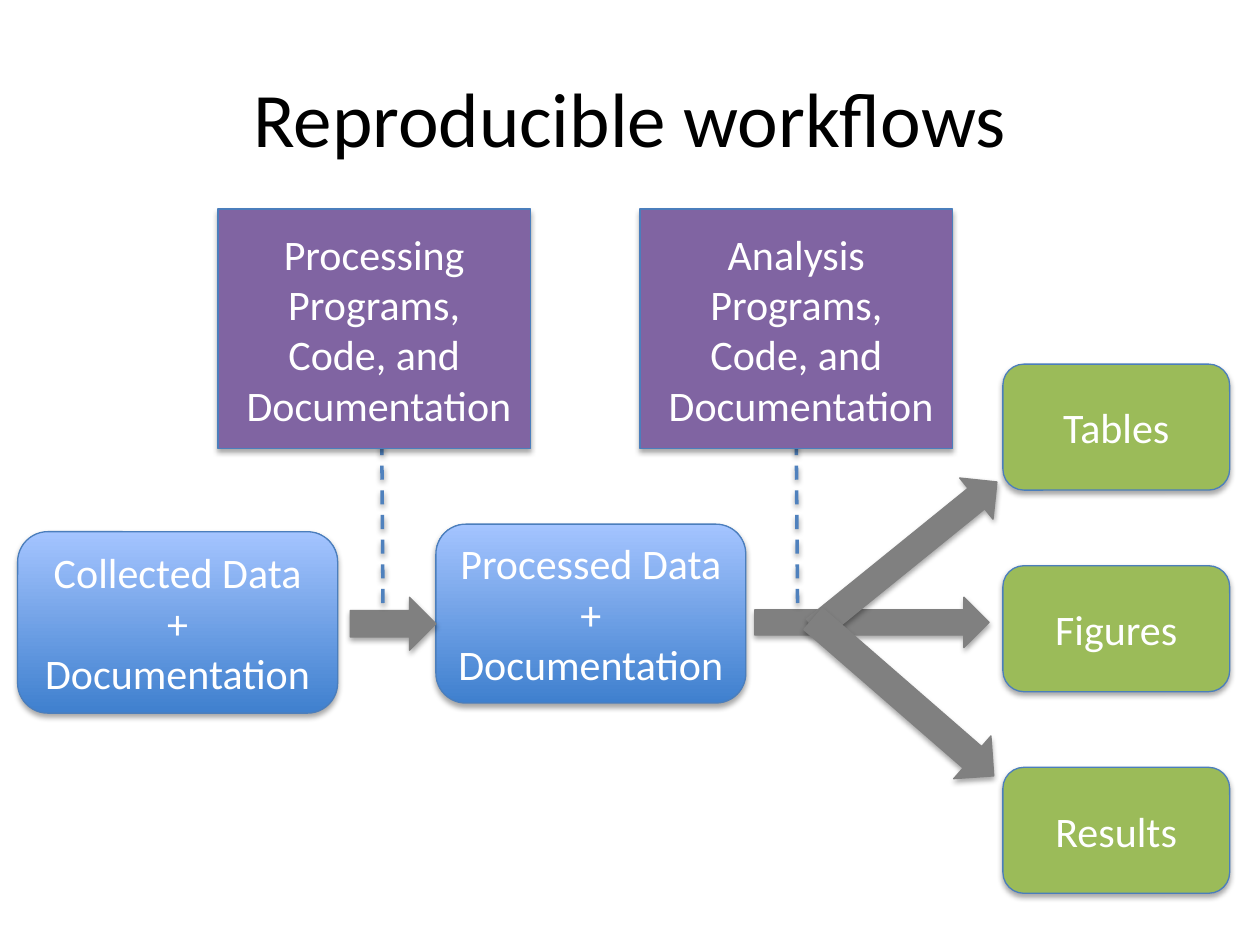
import pptx
import pptx.util
import pptx.dml.color
import pptx.enum.dml
import pptx.enum.shapes
import pptx.enum.text
import pptx.oxml
import pptx.oxml.ns

RGB = pptx.dml.color.RGBColor
SHAPE = pptx.enum.shapes.MSO_SHAPE
BLACK = RGB(0x00, 0x00, 0x00)
WHITE = RGB(0xFF, 0xFF, 0xFF)
GRAY = RGB(0x80, 0x80, 0x80)
GREEN = RGB(0x9B, 0xBB, 0x59)
PURPLE = RGB(0x80, 0x64, 0xA2)
OUTLINE = RGB(0x4B, 0x7E, 0xBC)
DASH_BLUE = RGB(0x4F, 0x81, 0xBD)
DEEP_BLUE = RGB(0x3F, 0x80, 0xCE)
PALE_BLUE = RGB(0xA4, 0xC4, 0xFF)

COLUMNS, ROWS = 100, 75
WIDTH, HEIGHT = pptx.util.Inches(10), pptx.util.Inches(7.5)


def col(n):
    return round(WIDTH * n / COLUMNS)


def row(n):
    return round(HEIGHT * n / ROWS)


def place(box):
    x, y, w, h = box
    return col(x), row(y), col(w), row(h)


def add_shadow(sp, alpha=35):
    for old in sp._element.spPr.findall(pptx.oxml.ns.qn("a:effectLst")):
        sp._element.spPr.remove(old)
    sp._element.spPr.append(pptx.oxml.parse_xml(
        f'<a:effectLst {pptx.oxml.ns.nsdecls("a")}>'
        '<a:outerShdw blurRad="40000" dist="23000" dir="5400000" rotWithShape="0">'
        f'<a:srgbClr val="000000"><a:alpha val="{alpha * 1000}"/></a:srgbClr>'
        '</a:outerShdw></a:effectLst>'))


def write(sp, lines, size, color):
    tf = sp.text_frame
    tf.word_wrap = True
    tf.vertical_anchor = pptx.enum.text.MSO_ANCHOR.MIDDLE
    for i, line in enumerate(lines):
        p = tf.paragraphs[0] if i == 0 else tf.add_paragraph()
        p.alignment = pptx.enum.text.PP_ALIGN.CENTER
        r = p.add_run()
        r.text = line
        r.font.size = pptx.util.Pt(size)
        r.font.name = "Calibri"
        r.font.color.rgb = color


def add_block(s, kind, box, colors, outline=OUTLINE, lines=()):
    sp = s.shapes.add_shape(kind, *place(box))
    if len(colors) > 1:
        sp.fill.gradient()
        sp.fill.gradient_angle = 90
        for stop, color in zip(sp.fill.gradient_stops, colors):
            stop.color.rgb = color
    else:
        sp.fill.solid()
        sp.fill.fore_color.rgb = colors[0]
    sp.line.color.rgb = outline
    sp.line.width = pptx.util.Pt(0.75)
    sp.shadow.inherit = False
    add_shadow(sp)
    if lines:
        write(sp, lines, 24, WHITE)
    return sp


def add_title(s, box):
    write(s.shapes.add_textbox(*place(box)), ["Reproducible workflows"], 44, BLACK)


def add_data(s, name, box):
    add_block(s, SHAPE.ROUNDED_RECTANGLE, box, [DEEP_BLUE, PALE_BLUE],
              lines=[name, "+", "Documentation"])


def add_outputs(s, box):
    x, y, w, h = box
    names = ["Tables", "Figures", "Results"]
    box_height = 10
    pitch = (h - box_height) / (len(names) - 1)
    for i, name in enumerate(names):
        add_block(s, SHAPE.ROUNDED_RECTANGLE, (x, y + i * pitch, w, box_height),
                  [GREEN], lines=[name])


def add_arrow(s, box, angle=0):
    sp = add_block(s, SHAPE.RIGHT_ARROW, box, [GRAY], GRAY)
    sp.rotation = angle


def add_program(s, name, box, link_x):
    top, bottom = 35, 48.1
    cxn = s.shapes.add_connector(pptx.enum.shapes.MSO_CONNECTOR.STRAIGHT,
                                 col(link_x), row(top), col(link_x + 0.1), row(bottom))
    cxn.line.color.rgb = DASH_BLUE
    cxn.line.width = pptx.util.Pt(2)
    cxn.line.dash_style = pptx.enum.dml.MSO_LINE.DASH
    add_shadow(cxn, 38)
    add_block(s, SHAPE.RECTANGLE, box, [PURPLE],
              lines=[name, " Programs, ", "Code, and", " Documentation"])


def main():
    prs = pptx.Presentation()
    prs.slide_width, prs.slide_height = WIDTH, HEIGHT
    s = prs.slides.add_slide(prs.slide_layouts[6])
    add_title(s, (5, 3, 90, 12.5))
    add_data(s, "Collected Data", (1.4, 42.2, 25.4, 14.4))
    add_data(s, "Processed Data", (34.6, 41.6, 24.6, 14.2))
    add_outputs(s, (79.6, 28.9, 18, 42))
    add_arrow(s, (27.8, 47.4, 6.8, 4.2))
    add_arrow(s, (59.9, 47.4, 18.6, 4))
    add_arrow(s, (62.6, 42, 18.6, 4.2), 321)
    add_arrow(s, (62.2, 53.1, 19, 4.5), 41)
    add_program(s, "Processing", (17.3, 16.6, 24.8, 19), 30.3)
    add_program(s, "Analysis", (50.8, 16.6, 24.8, 19), 63.2)
    prs.save("out.pptx")


if __name__ == "__main__":
    main()
